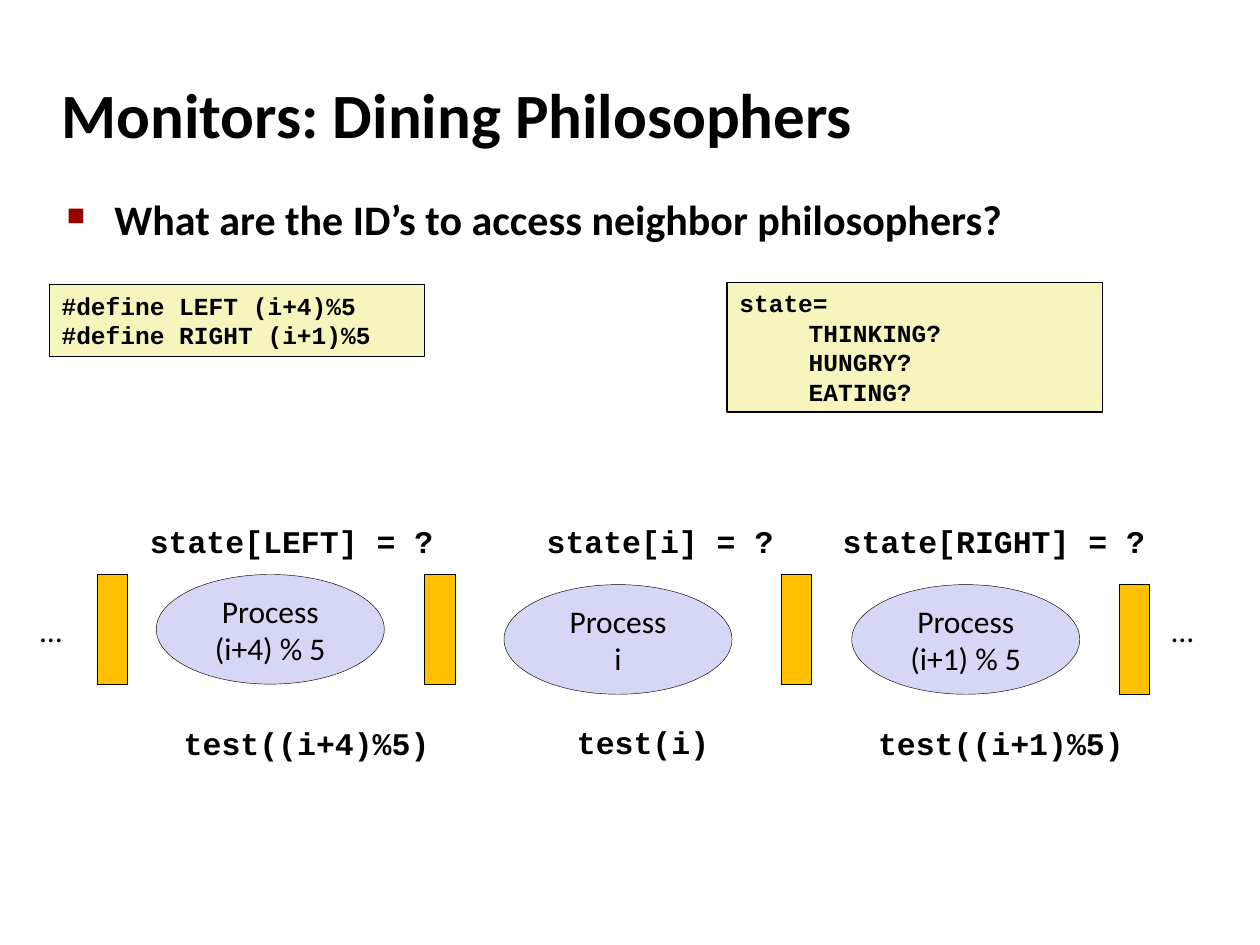
from lxml import etree
from pptx import Presentation
from pptx.dml.color import RGBColor
from pptx.enum.shapes import MSO_SHAPE
from pptx.enum.text import MSO_ANCHOR, PP_ALIGN
from pptx.oxml.ns import qn
from pptx.util import Inches, Pt

RECT, OVAL = MSO_SHAPE.RECTANGLE, MSO_SHAPE.OVAL
TOP, MID = MSO_ANCHOR.TOP, MSO_ANCHOR.MIDDLE
LEFT, MIDDLE = PP_ALIGN.LEFT, PP_ALIGN.CENTER
WIDE, HIGH = Inches(10), Inches(7.5)

COLORS = {"ink": "000000", "note": "F6F5BD", "oval": "D6D6F5",
          "fork": "FFC000", "mark": "990000"}
FONTS = {
    "title": {"name": "Calibri", "size": Pt(36), "bold": True},
    "point": {"name": "Calibri", "size": Pt(24), "bold": True},
    "plain": {"name": "Calibri", "size": Pt(18), "bold": False},
    "label": {"name": "Courier New", "size": Pt(18), "bold": True},
    "code": {"name": "Courier New", "size": Pt(14), "bold": True},
}
STEP = 27.6  # distance between neighbor philosophers, % of the width


def color(name):
    return RGBColor.from_string(COLORS[name])


def place(x, y, w, h):
    """Turn percentages of the slide's size into lengths."""
    return [round(share * side / 100)
            for share, side in zip((x, y, w, h), (WIDE, HIGH) * 2)]


def write(shape, text, font, align=LEFT, anchor=TOP, wrap=True):
    frame = shape.text_frame
    frame.text = text
    frame.word_wrap = wrap
    frame.vertical_anchor = anchor
    for para in frame.paragraphs:
        para.alignment = align
        for run in para.runs:
            for key, value in FONTS[font].items():
                setattr(run.font, key, value)
            run.font.color.rgb = color("ink")


def add_text(slide, spot, text, font, **style):
    box = slide.shapes.add_textbox(*place(*spot))
    write(box, text, font, **style)
    return box


def add_block(slide, kind, spot, fill, line):
    block = slide.shapes.add_shape(kind, *place(*spot))
    block.shadow.inherit = False
    block.fill.solid()
    block.fill.fore_color.rgb = color(fill)
    block.line.color.rgb = color("ink")
    block.line.width = Pt(line)
    return block


def add_sub(node, tag, **attrs):
    return etree.SubElement(node, qn(tag), attrs)


def add_point(slide, spot, text):
    """Add a text line with a square bullet and a hanging indent."""
    para = add_text(slide, spot, text, "point").text_frame.paragraphs[0]
    para.space_before = Pt(6)
    props = para._p.get_or_add_pPr()
    props.set("marL", str(Inches(0.38)))
    props.set("indent", str(-Inches(0.38)))
    tint = add_sub(props, "a:buClr")
    add_sub(tint, "a:srgbClr", val=COLORS["mark"])
    add_sub(props, "a:buSzPct", val="60000")
    add_sub(props, "a:buChar", char="■")


def add_code(slide, spot, text):
    """Add a note of code whose tabs stop at 0.55 inches."""
    note = add_block(slide, RECT, spot, "note", 0.75)
    write(note, text, "code")
    for para in note.text_frame.paragraphs:
        tabs = add_sub(para._p.get_or_add_pPr(), "a:tabLst")
        add_sub(tabs, "a:tab", pos=str(Inches(0.55)), algn="l")


def add_process(slide, col, row, name):
    spot = (12.4 + col * STEP, row, 18.1, 11.6)
    oval = add_block(slide, OVAL, spot, "oval", 0.25)
    write(oval, f"Process\v{name}", "plain", MIDDLE, MID, False)


def main():
    deck = Presentation()
    deck.slide_width, deck.slide_height = WIDE, HIGH
    slide = deck.slides.add_slide(deck.slide_layouts[6])

    add_text(slide, (3.9, 6.4, 83, 11.07), "Monitors: Dining Philosophers",
             "title", anchor=MID)
    add_point(slide, (4.3, 19.87, 86.4, 10),
              "What are the ID’s to access neighbor philosophers?")
    add_code(slide, (3.9, 30.13, 29.8, 7.6),
             "#define LEFT (i+4)%5\n#define RIGHT (i+1)%5")
    add_code(slide, (57.7, 29.87, 29.8, 13.73),
             "state=\n\tTHINKING?\n\tHUNGRY?\n\tEATING?")

    high, low = 60.8, 61.87
    for col, (row, name) in enumerate(
            [(high, "(i+4) % 5"), (low, "i"), (low, "(i+1) % 5")]):
        add_process(slide, col, row, name)
    for x, row in [(7.7, high), (33.7, high), (62, high), (88.8, low)]:
        add_block(slide, RECT, (x, row, 2.4, 11.6), "fork", 0.25)

    for x, y, w, text, font in [
            (10.9, 54.53, 24.5, "state[LEFT] = ?", "label"),
            (42.4, 54.53, 20, "state[i] = ?", "label"),
            (65.9, 54.53, 26, "state[RIGHT] = ?", "label"),
            (13.6, 76, 21.5, "test((i+4)%5)", "label"),
            (44.8, 75.87, 12.5, "test(i)", "label"),
            (68.7, 76, 21.5, "test((i+1)%5)", "label"),
            (2.2, 64, 3.7, "…", "plain"),
            (92, 64, 3.7, "…", "plain")]:
        add_text(slide, (x, y, w, 5.33), text, font, wrap=False)

    deck.save("out.pptx")


if __name__ == "__main__":
    main()
